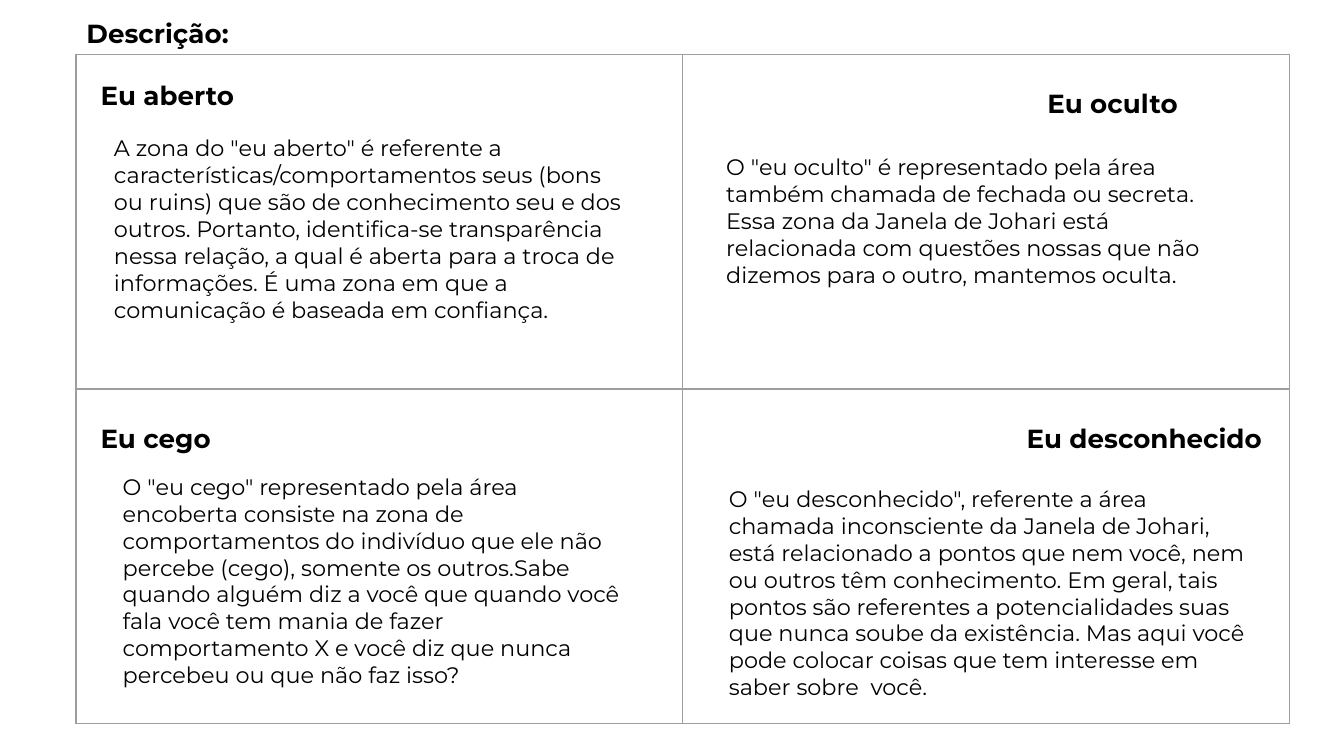
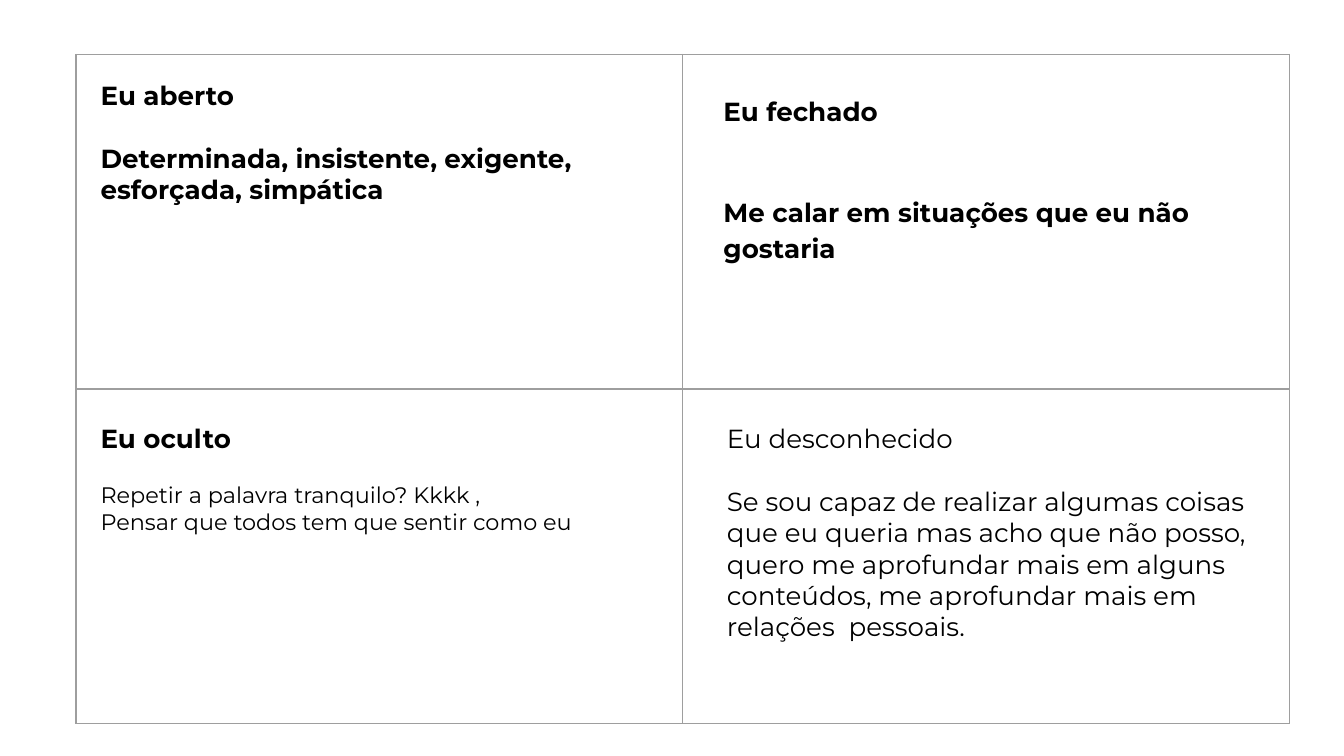
from dataclasses import dataclass

from pptx import Presentation
from pptx import util as u
from pptx.dml.color import RGBColor
from pptx.enum import text
from pptx.oxml import parse_xml
from pptx.oxml.ns import nsdecls

PX = 4572  # 200 px to the inch


@dataclass(frozen=True)
class Theme:
    font: str = "Montserrat"
    ink: str = "000000"
    paper: str = "FFFFFF"
    rule: str = "9E9E9E"
    rule_width: float = 0.75
    title: int = 14
    body: int = 12


@dataclass(frozen=True)
class Line:
    """One paragraph and its style; gap and after are in points."""
    words: str
    size: int = Theme.title
    bold: bool = True
    gap: int = 0
    after: int = 0
    spacing: float = 1.0


THEME = Theme()
PAGE = (2000, 1125)
GRID = (113, 81)
CELL = (903, 498)
HEADING_BOX = (109, 6, 656, 88)
INSET = 20


def body(words, **style):
    return Line(words, THEME.body, False, **style)


# Each quadrant, row by row, lists its text boxes as (place in the cell, lines)
DESCRIPTION = [
    [((17, 17, 298, 88), [Line("Eu aberto")]),
     ((37, 99, 812, 324), [body(
         'A zona do "eu aberto" é referente a características/comportamentos seus '
         "(bons ou ruins) que são de conhecimento seu e dos outros. Portanto, "
         "identifica-se transparência nessa relação, a qual é aberta para a troca de "
         "informações. É uma zona em que a comunicação é baseada em confiança.")])],
    [((523, 22, 326, 88), [Line("Eu oculto", after=8, spacing=1.15)]),
     ((45, 127, 812, 324), [body(
         'O "eu oculto" é representado pela área também chamada de fechada ou '
         "secreta. Essa zona da Janela de Johari está relacionada com questões "
         "nossas que não dizemos para o outro, mantemos oculta.")])],
    [((17, 29, 440, 134), [Line("Eu cego")]),
     ((50, 105, 788, 364), [body(
         'O "eu cego" representado pela área encoberta consiste na zona de '
         "comportamentos do indivíduo que ele não percebe (cego), somente os "
         "outros.Sabe quando alguém diz a você que quando você fala você tem mania "
         "de fazer comportamento X e você diz que nunca percebeu ou que não faz "
         "isso?")])],
    [((492, 29, 390, 88), [Line("Eu desconhecido")]),
     ((49, 123, 812, 364), [body(
         'O "eu desconhecido", referente a área chamada inconsciente da Janela de '
         "Johari, está relacionado a pontos que nem você, nem ou outros têm "
         "conhecimento. Em geral, tais pontos são referentes a potencialidades suas "
         "que nunca soube da existência. Mas aqui você pode colocar coisas que tem "
         "interesse em saber sobre  você.")])],
]

ANSWERS = [
    [((17, 17, 804, 228), [
        Line("Eu aberto"),
        Line("Determinada, insistente, exigente, esforçada, simpática", gap=17)])],
    [((41, 34, 828, 324), [
        Line("Eu fechado", after=8, spacing=1.15),
        Line("Me calar em situações que eu não gostaria",
             gap=27, after=8, spacing=1.15)])],
    [((17, 29, 846, 256), [
        Line("Eu oculto"),
        body("Repetir a palavra tranquilo? Kkkk ,", gap=15),
        body("Pensar que todos tem que sentir como eu")])],
    [((46, 29, 836, 370), [
        Line("Eu desconhecido", bold=False),
        Line("Se sou capaz de realizar algumas coisas que eu queria mas acho que não "
             "posso, quero me aprofundar mais em alguns conteúdos, me aprofundar "
             "mais em relações  pessoais.", bold=False, gap=17)])],
]


def add_text(page, place, lines):
    box = page.shapes.add_textbox(*(n * PX for n in place))
    frame = box.text_frame
    frame.word_wrap = True
    frame.auto_size = text.MSO_AUTO_SIZE.SHAPE_TO_FIT_TEXT
    frame.margin_left = frame.margin_right = INSET * PX
    frame.margin_top = frame.margin_bottom = INSET * PX
    for i, line in enumerate(lines):
        para = frame.add_paragraph() if i else frame.paragraphs[0]
        para.line_spacing = line.spacing
        para.space_before, para.space_after = u.Pt(line.gap), u.Pt(line.after)
        span = para.add_run()
        span.text = line.words
        span.font.name = THEME.font
        span.font.size = u.Pt(line.size)
        span.font.bold = line.bold
        span.font.color.rgb = RGBColor.from_string(THEME.ink)


def outline_cell(cell):
    props = cell._tc.get_or_add_tcPr()
    for side in "LRTB":
        props.append(parse_xml(
            f'<a:ln{side} {nsdecls("a")} w="{u.Pt(THEME.rule_width)}"><a:solidFill>'
            f'<a:srgbClr val="{THEME.rule}"/></a:solidFill></a:ln{side}>'))
    cell.fill.background()


def add_window(page, origin):
    """The empty two by two table behind the texts."""
    width, height = CELL
    place = (*origin, 2 * width, 2 * height)
    table = page.shapes.add_table(2, 2, *(n * PX for n in place)).table
    table.first_row = table.horz_banding = False
    for cell in table.iter_cells():
        outline_cell(cell)


def add_quadrant(page, left, top, boxes):
    for (x, y, width, height), lines in boxes:
        add_text(page, (left + x, top + y, width, height), lines)


def add_johari_page(deck, quadrants, heading=None):
    page = deck.slides.add_slide(deck.slide_layouts[6])
    page.background.fill.solid()
    page.background.fill.fore_color.rgb = RGBColor.from_string(THEME.paper)
    add_window(page, GRID)
    if heading:
        add_text(page, HEADING_BOX, [Line(heading)])
    for i, boxes in enumerate(quadrants):
        row, column = divmod(i, 2)
        add_quadrant(page, GRID[0] + column * CELL[0], GRID[1] + row * CELL[1], boxes)


def main():
    deck = Presentation()
    deck.slide_width, deck.slide_height = (n * PX for n in PAGE)
    add_johari_page(deck, DESCRIPTION, "Descrição:")
    add_johari_page(deck, ANSWERS)
    deck.save("out.pptx")


if __name__ == "__main__":
    main()
